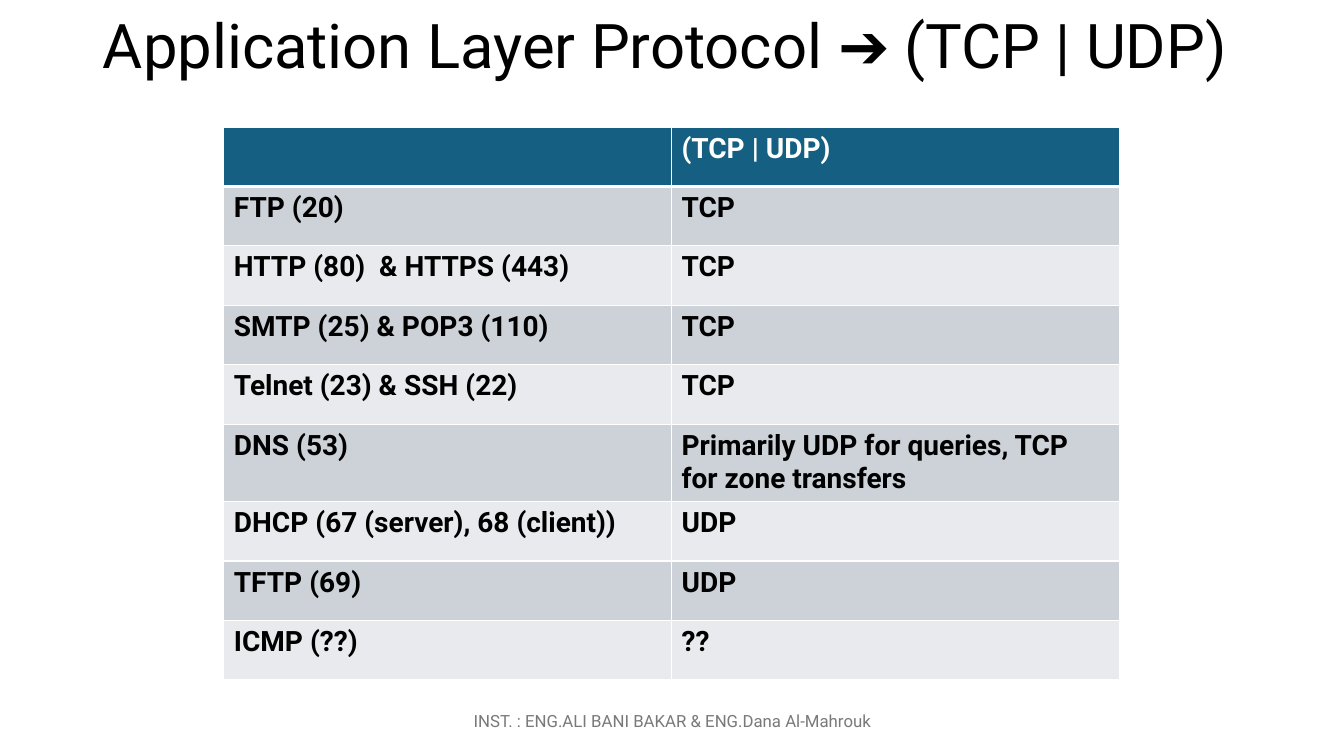
from dataclasses import dataclass

from lxml import etree
from pptx import Presentation
from pptx.dml.color import RGBColor
from pptx.enum import text
from pptx.oxml import ns
from pptx.util import Inches, Pt

FONT = "Roboto"
WHITE, BLACK, GREY = "FFFFFF", "000000", "797979"
HEADER_FILL, BAND_FILLS = "156082", ("CCD2D8", "E8EAED")


@dataclass
class Protocol:
    name: str
    transport: str


PROTOCOLS = [
    Protocol("FTP (20)", "TCP"),
    Protocol("HTTP (80)  & HTTPS (443)", "TCP"),
    Protocol("SMTP (25) & POP3 (110)", "TCP"),
    Protocol("Telnet (23) & SSH (22)", "TCP"),
    Protocol("DNS (53)", "Primarily UDP for queries, TCP for zone transfers"),
    Protocol("DHCP (67 (server), 68 (client))", "UDP"),
    Protocol("TFTP (69)", "UDP"),
    Protocol("ICMP (??)", "??"),
]


def color(value: str) -> RGBColor:
    return RGBColor.from_string(value)


def format_paragraph(paragraph, size: float, font_color: str, bold: bool = False) -> None:
    paragraph.font.name = FONT
    paragraph.font.size = Pt(size)
    paragraph.font.bold = bold
    paragraph.font.color.rgb = color(font_color)


def set_borders(cell, top: float, bottom: float) -> None:
    """Give the cell white borders; widths are in points, the sides are 1."""
    properties = cell._tc.get_or_add_tcPr()
    widths = {"L": 1, "R": 1, "T": top, "B": bottom}
    for index, (side, width) in enumerate(widths.items()):
        line = etree.Element(ns.qn(f"a:ln{side}"), w=str(Pt(width)))
        fill = etree.SubElement(line, ns.qn("a:solidFill"))
        etree.SubElement(fill, ns.qn("a:srgbClr"), val=WHITE)
        properties.insert(index, line)


def add_title(slide) -> None:
    title = slide.shapes.title
    title.left, title.top = Inches(0.92), Inches(0.05)
    title.width, title.height = Inches(11.5), Inches(0.86)
    frame = title.text_frame
    frame.text = "Application Layer Protocol ➔ (TCP | UDP)"
    frame.auto_size = text.MSO_AUTO_SIZE.NONE
    frame.vertical_anchor = text.MSO_ANCHOR.MIDDLE
    paragraph = frame.paragraphs[0]
    paragraph.alignment = text.PP_ALIGN.LEFT
    paragraph.line_spacing = 0.9
    format_paragraph(paragraph, 44, BLACK)


def add_protocol_table(slide) -> None:
    rows = [Protocol("", "(TCP | UDP)"), *PROTOCOLS]
    row_height = 0.59
    table = slide.shapes.add_table(
        len(rows), 2, Inches(2.22), Inches(1.26),
        Inches(8.88), Inches(row_height * len(rows))).table
    for index, protocol in enumerate(rows):
        table.rows[index].height = Inches(row_height)
        is_header = index == 0
        fill = HEADER_FILL if is_header else BAND_FILLS[(index - 1) % 2]
        for column, label in enumerate((protocol.name, protocol.transport)):
            cell = table.cell(index, column)
            cell.text = label
            format_paragraph(cell.text_frame.paragraphs[0], 20,
                             WHITE if is_header else BLACK, bold=True)
            set_borders(cell, top=3 if index == 1 else 1, bottom=3 if is_header else 1)
            cell.fill.solid()
            cell.fill.fore_color.rgb = color(fill)


def add_footer(slide) -> None:
    footer = slide.shapes.add_textbox(Inches(4.42), Inches(6.95), Inches(4.5), Inches(0.4))
    frame = footer.text_frame
    frame.word_wrap = True
    frame.vertical_anchor = text.MSO_ANCHOR.MIDDLE
    frame.text = "INST. : ENG.ALI BANI BAKAR & ENG.Dana Al-Mahrouk"
    paragraph = frame.paragraphs[0]
    paragraph.alignment = text.PP_ALIGN.CENTER
    format_paragraph(paragraph, 12, GREY)


def main() -> None:
    presentation = Presentation()
    presentation.slide_width, presentation.slide_height = Inches(13.33), Inches(7.5)
    slide = presentation.slides.add_slide(presentation.slide_layouts.get_by_name("Title Only"))
    add_title(slide)
    add_footer(slide)
    add_protocol_table(slide)
    presentation.save("out.pptx")


if __name__ == "__main__":
    main()
